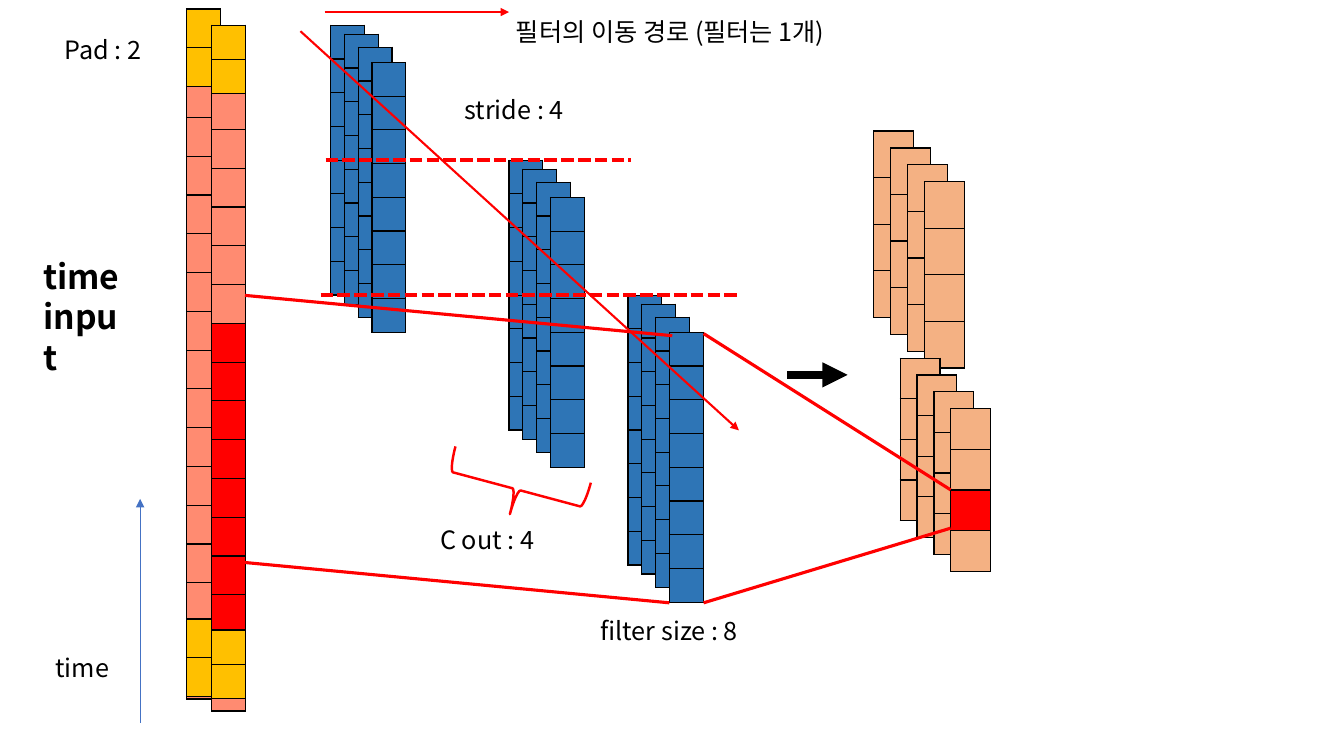
from lxml import etree
from pptx import Presentation
from pptx.dml.color import RGBColor
from pptx.enum.dml import MSO_LINE
from pptx.enum.shapes import MSO_CONNECTOR, MSO_SHAPE
from pptx.enum.text import MSO_AUTO_SIZE
from pptx.oxml.ns import qn
from pptx.util import Pt

STRAIGHT = MSO_CONNECTOR.STRAIGHT
BRACE = MSO_SHAPE.RIGHT_BRACE
DASH = MSO_LINE.SQUARE_DOT
FIT = MSO_AUTO_SIZE.SHAPE_TO_FIT_TEXT
FONT = "Noto Sans CJK KR"
COLORS = {
    "black": "000000", "red": "FF0000", "pad": "FFC000", "input": "FF8B71",
    "filter": "2E75B6", "output": "F4B183", "axis": "4472C4",
}

prs = Presentation()
prs.slide_width, prs.slide_height = Pt(960), Pt(540)
slide = prs.slides.add_slide(prs.slide_layouts[6])
shapes = slide.shapes


def add_column(left, top, width, row_height, fills):
    count = len(fills)
    column = shapes.add_table(
        count, 1, Pt(left), Pt(top), Pt(width), Pt(row_height * count)).table
    for row, fill in zip(column.rows, fills):
        row.height = Pt(row_height)
        cell = row.cells[0]
        for side in ("left", "right", "top", "bottom"):
            setattr(cell, f"margin_{side}", 0)
        cell.text_frame.paragraphs[0]._p.get_or_add_endParaRPr().set("sz", "800")
        properties = cell._tc.get_or_add_tcPr()
        for edge in ("a:lnL", "a:lnR", "a:lnT", "a:lnB"):
            border = etree.SubElement(properties, qn(edge), w="12700")
            paint = etree.SubElement(border, qn("a:solidFill"))
            etree.SubElement(paint, qn("a:srgbClr"), val=COLORS["black"])
        cell.fill.solid()
        cell.fill.fore_color.rgb = RGBColor.from_string(COLORS[fill])


def add_line(start, end, color, width, dashed=False, arrow=False):
    line = shapes.add_connector(
        STRAIGHT, Pt(start[0]), Pt(start[1]), Pt(end[0]), Pt(end[1]))
    line.line.color.rgb = RGBColor.from_string(COLORS[color])
    line.line.width = Pt(width)
    if dashed:
        line.line.dash_style = DASH
    if arrow:
        etree.SubElement(line.line._get_or_add_ln(), qn("a:tailEnd"), type="triangle")
    etree.SubElement(line._element.spPr, qn("a:effectLst"))


OUTPUT_STEP = 12.05
for channel in range(4):
    shift = channel * OUTPUT_STEP
    add_column(624.2 + shift, 93.6 + shift, 28.4, 33.3, ["output"] * 4)

plain_input = ["input"] * 16
covered_input = ["input"] * 6 + ["red"] * 8 + ["input"] * 2
input_channels = [
    (133.2, 56.2, plain_input, 27.7, (6.5, 442.1)),
    (151.2, 64.8, covered_input, 24.4, (18, 450)),
]
for left, top, fills, pad_row, pad_tops in input_channels:
    add_column(left, top, 24.1, 27.7, fills)
    for pad_top in pad_tops:
        add_column(left, pad_top, 24.1, pad_row, ["pad"] * 2)

FILTER_ROW = 24.1
STRIDE = 4 * FILTER_ROW
for position, left in enumerate((236.2, 363.6, 448.6)):
    for channel, drop in enumerate((0, 6.5, 15.8, 26.6)):
        add_column(left + channel * 9.85, 18 + position * STRIDE + drop,
                   24.1, FILTER_ROW, ["filter"] * 8)

add_line((100.1, 516.2), (100.1, 356.4), "axis", 0.5, arrow=True)
add_line((232.6, 114.5), (450.7, 114.5), "red", 3, dashed=True)
add_line((229, 211), (527.8, 211), "red", 3, dashed=True)
add_line((562.3, 267.8), (605.5, 267.8), "black", 6, arrow=True)

for channel in range(4):
    shift = channel * OUTPUT_STEP
    result = "red" if channel == 3 else "output"
    add_column(643 + shift, 255.8 + shift, 28.4, 29,
               ["output", "output", result, "output"])

channel_brace = shapes.add_shape(BRACE, Pt(350.6), Pt(299.5), Pt(36.7), Pt(100.1))
channel_brace.rotation = 105
channel_brace.shadow.inherit = False
channel_brace.fill.background()
channel_brace.line.color.rgb = RGBColor.from_string(COLORS["red"])
channel_brace.line.width = Pt(1.75)

projections = [
    ((679, 349.9), (502.6, 238.3)), ((502.6, 430.6), (679, 377.3)),
    ((175, 401.8), (478.1, 430.6)), ((480.2, 239.8), (175, 211)),
]
for start, end in projections:
    add_line(start, end, "red", 2.25)
add_line((231.8, 8.6), (363.6, 8.6), "red", 1.5, arrow=True)
add_line((214.6, 22.3), (527.8, 307.4), "red", 1.5, arrow=True)

labels = [
    ("time", 32.4, 462.2, 65.5, 28.8, 18, False, True),
    ("filter size : 8", 421.9, 436.3, 115.2, 28.8, 18, False, False),
    ("stride : 4", 324.7, 64.1, 87.1, 28.8, 18, False, False),
    ("C out : 4", 307.4, 370.8, 87.1, 28.8, 18, False, False),
    ("time\vinput", 23.8, 179.3, 74, 65.5, 24, True, True),
    ("Pad : 2", 38.9, 20.9, 71.3, 28.8, 18, False, False),
    ("필터의 이동 경로 (필터는 1개)", 361.4, 7.9, 261.4, 28.8, 18, False, False),
]
for text, left, top, width, height, size, bold, wrap in labels:
    frame = shapes.add_textbox(Pt(left), Pt(top), Pt(width), Pt(height)).text_frame
    frame.word_wrap = wrap
    frame.auto_size = FIT
    paragraph = frame.paragraphs[0]
    paragraph.text = text
    for run in paragraph.runs:
        for key, value in {"name": FONT, "size": Pt(size), "bold": bold}.items():
            setattr(run.font, key, value)
        run.font.color.rgb = RGBColor.from_string(COLORS["black"])
        properties = run._r.get_or_add_rPr()
        etree.SubElement(properties, qn("a:ea"), typeface=FONT)

prs.save("out.pptx")
